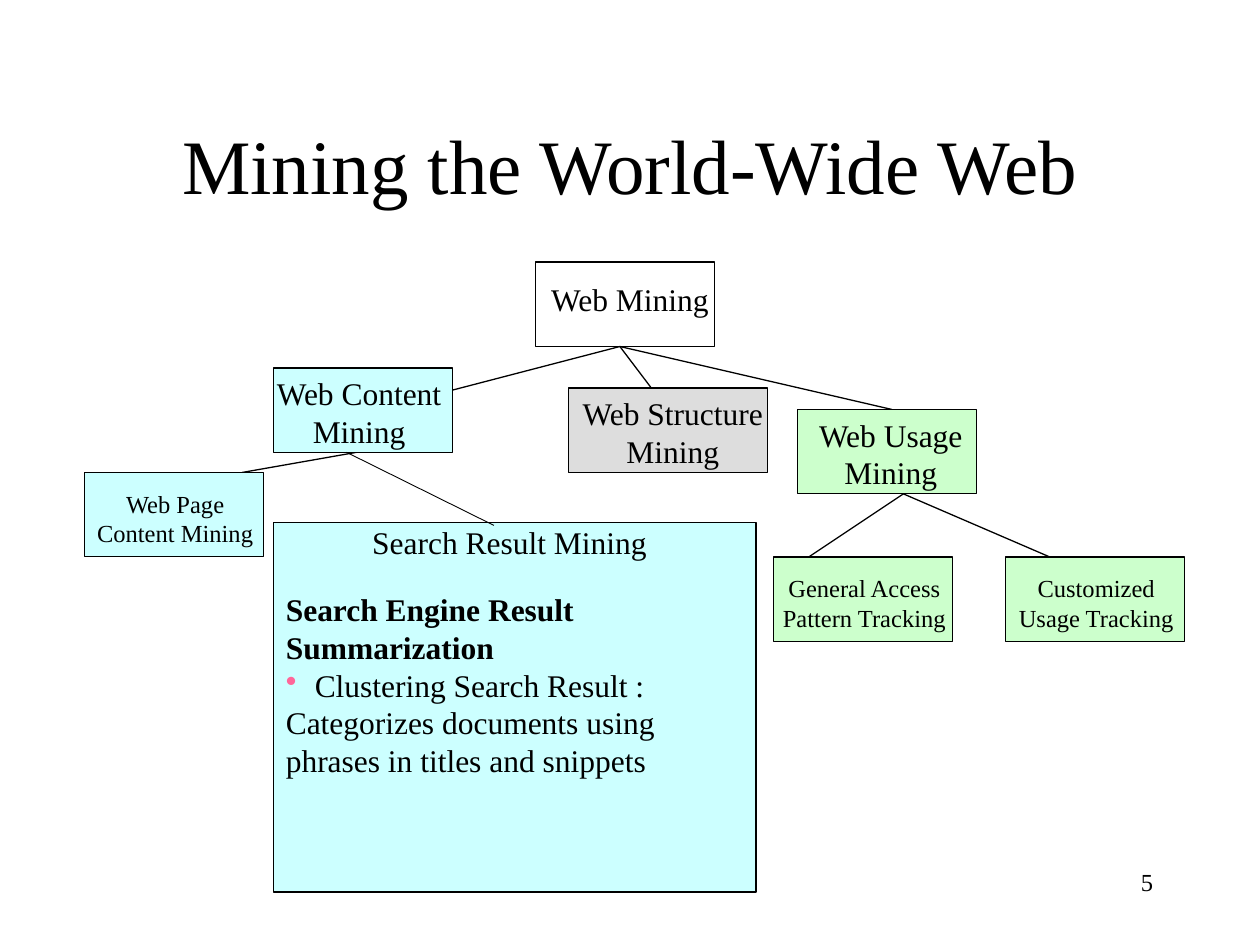
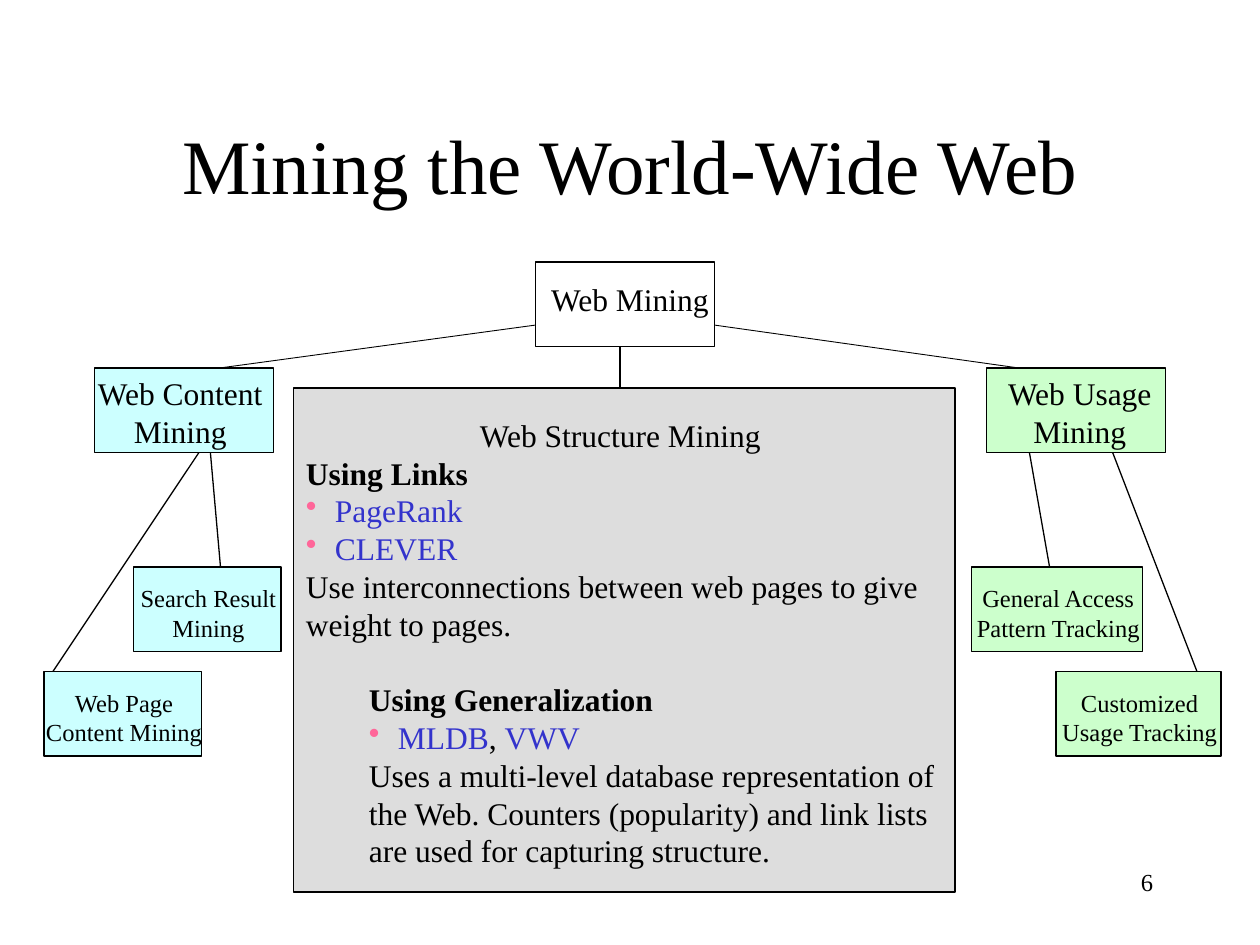
from dataclasses import dataclass

from lxml import etree
from pptx import Presentation
from pptx import util as u
from pptx.dml.color import RGBColor
from pptx.enum import shapes, text
from pptx.oxml import ns


@dataclass(frozen=True)
class Theme:
    font: str = "Times New Roman"
    ink: str = "000000"
    name: str = "3333CC"
    bullet: str = "FF6699"
    content: str = "CCFFFF"
    structure: str = "DDDDDD"
    usage: str = "CCFFCC"
    title: int = 44
    body: int = 18
    small: int = 14
    line: float = 0.75
    thin: float = 0.5


T = Theme()
NODE_W, NODE_H = 1.42, 0.67
ROOT = (4.25, 2.08, NODE_W, NODE_H)
TITLE_BOX = (0.75, 0.67, 8.5, 1.25)
NUMBER_BOX = (7.17, 6.83, 2.08, 0.5)
BULLET_INDENT = 0.23
ALIGN, ANCHOR = text.PP_ALIGN, text.MSO_ANCHOR


def set_all(obj, values):
    for key, value in values.items():
        setattr(obj, key, value)


def inches(values):
    return [u.Inches(v) for v in values]


def set_frame(tf, insets=(0.1, 0.05, 0.1, 0.05), wrap=True, anchor=ANCHOR.TOP):
    sides = ("margin_left", "margin_top", "margin_right", "margin_bottom")
    set_all(tf, dict(zip(sides, inches(insets)), word_wrap=wrap,
                     vertical_anchor=anchor))


def add_runs(p, runs, size, align):
    """Fill a paragraph with (text, bold, colour) runs."""
    p.alignment = align
    for words, bold, color in runs:
        r = p.add_run()
        r.text = words
        set_all(r.font, {"name": T.font, "size": u.Pt(size), "bold": bold})
        r.font.color.rgb = RGBColor.from_string(color)


def set_indent(p, left, bullet):
    pPr = p._p.get_or_add_pPr()
    hang = BULLET_INDENT if bullet else 0
    pPr.set("marL", str(u.Inches(left + hang)))
    pPr.set("indent", str(u.Inches(-hang)))
    if bullet:
        clr = etree.SubElement(pPr, ns.qn("a:buClr"))
        etree.SubElement(clr, ns.qn("a:srgbClr"), val=T.bullet)
        etree.SubElement(pPr, ns.qn("a:buChar"), char="•")


def add_text(s, box, words, size, align, anchor=ANCHOR.TOP):
    tf = s.shapes.add_textbox(*inches(box)).text_frame
    set_frame(tf, anchor=anchor)
    add_runs(tf.paragraphs[0], [(words, False, T.ink)], size, align)


def add_box(s, box, fill):
    sp = s.shapes.add_shape(shapes.MSO_SHAPE.RECTANGLE, *inches(box))
    sp.shadow.inherit = False
    if fill:
        sp.fill.solid()
        sp.fill.fore_color.rgb = RGBColor.from_string(fill)
    else:
        sp.fill.background()
    sp.line.color.rgb = RGBColor.from_string(T.ink)
    sp.line.width = u.Pt(T.line)
    return sp


def link(s, box, start, end, width=T.line):
    """Join two points given as offsets from the box's top left corner."""
    x, y = box[:2]
    ends = (x + start[0], y + start[1], x + end[0], y + end[1])
    cn = s.shapes.add_connector(shapes.MSO_CONNECTOR.STRAIGHT, *inches(ends))
    cn.line.color.rgb = RGBColor.from_string(T.ink)
    cn.line.width = u.Pt(width)
    etree.SubElement(cn._element.spPr, ns.qn("a:effectLst"))


def node(s, box, lines, fill, size=T.body, top=0.05, nudge=0.0):
    """Labelled box; nudge moves the label sideways from the centre."""
    tf = add_box(s, box, fill).text_frame
    set_frame(tf, (max(0, 2 * nudge), top, max(0, -2 * nudge), 0), wrap=False)
    for i, words in enumerate(lines):
        p = tf.add_paragraph() if i else tf.paragraphs[0]
        add_runs(p, [(words, False, T.ink)], size, ALIGN.CENTER)


def branch(s, box, lines, fill, nudge, leaves):
    """Parent node with leaves: label, offset, width, link ends along x."""
    x, y = box[:2]
    for label, (dx, dy), w, start, end in leaves:
        link(s, box, (start, NODE_H), (dx + end, dy))
        node(s, (x + dx, y + dy, w, NODE_H), label, fill, T.small, 0.13, 0.01)
    node(s, box, lines, fill, nudge=nudge)


def root(s, box, links):
    for start, end, width in links:
        link(s, box, start, end, width)
    node(s, box, ["Web Mining"], None, top=0.14, nudge=0.04)


def panel(s, box, fill, insets, paras):
    """Large box of text; each paragraph is (runs, format values)."""
    tf = add_box(s, box, fill).text_frame
    set_frame(tf, insets)
    for i, (runs, fmt) in enumerate(paras):
        p = tf.add_paragraph() if i else tf.paragraphs[0]
        set_indent(p, fmt.get("left", 0), fmt.get("bullet", False))
        p.space_before = u.Pt(fmt.get("before", 0))
        add_runs(p, runs, T.body, fmt.get("align", ALIGN.LEFT))


def plain(words, **fmt):
    return [(words, False, T.ink)], fmt


def heading(words, **fmt):
    return [(words, True, T.ink)], fmt


def named(*words, **fmt):
    """Bulleted method names, separated by commas."""
    runs = []
    for word in words:
        if runs:
            runs.append((", ", False, T.ink))
        runs.append((word, False, T.name))
    return runs, dict(fmt, bullet=True)


def new_slide(prs, number):
    s = prs.slides.add_slide(prs.slide_layouts[6])
    add_text(s, TITLE_BOX, "Mining the World-Wide Web", T.title, ALIGN.CENTER,
             ANCHOR.MIDDLE)
    add_text(s, NUMBER_BOX, str(number), T.small, ALIGN.RIGHT)
    return s


CONTENT = ["Web Content", "Mining"]
STRUCTURE = ["Web Structure", "Mining"]
USAGE = ["Web Usage", "Mining"]
PAGE = ["Web Page", "Content Mining"]
SEARCH = ["Search Result", "Mining"]
GENERAL = ["General Access", "Pattern Tracking"]
CUSTOM = ["Customized", "Usage Tracking"]
STEM = (0.67, NODE_H)


def search_result_slide(prs):
    s = new_slide(prs, 5)
    # Tree
    root(s, ROOT, [(STEM, end, T.line)
                   for end in ((-1.25, 1.17), (0.92, 1), (2.83, 1.17))])
    content = (2.17, 2.92, NODE_W, NODE_H)
    branch(s, content, CONTENT, T.content, -0.03,
           [(PAGE, (-1.5, 0.83), NODE_W, 0.66, 1.25)])
    node(s, (4.51, 3.08, 1.58, NODE_H), STRUCTURE, T.structure, nudge=0.04)
    branch(s, (6.33, 3.25, NODE_W, NODE_H), USAGE, T.usage, 0.03,
           [(GENERAL, (-0.19, 1.17), NODE_W, 0.84, 0.28),
            (CUSTOM, (1.65, 1.17), NODE_W, 0.84, 0.35)])
    # Search result details
    panel(s, (2.17, 4.15, 3.83, 2.93), T.content, (0.1, 0, 0.18, 0.05), [
        plain("Search Result Mining", align=ALIGN.CENTER),
        heading("Search Engine Result Summarization", before=16.8),
        plain("Clustering Search Result :", bullet=True),
        plain("Categorizes documents using phrases in titles and snippets"),
    ])
    link(s, content, (0.58, NODE_H), (1.75, 1.25), T.thin)


def structure_slide(prs):
    s = new_slide(prs, 6)
    # Tree
    root(s, ROOT, [(STEM, (0.67, 1), T.line),
                   ((NODE_W, 0.5), (3.83, 0.84), T.thin),
                   ((0, 0.5), (-2.5, 0.84), T.thin)])
    branch(s, (0.75, 2.92, NODE_W, NODE_H), CONTENT, T.content, -0.03,
           [(SEARCH, (0.31, 1.58), 1.17, 0.92, 0.69),
            (PAGE, (-0.4, 2.41), 1.25, 0.83, 0.07)])
    branch(s, (7.83, 2.92, NODE_W, NODE_H), USAGE, T.usage, 0.03,
           [(GENERAL, (-0.12, 1.58), 1.36, 0.34, 0.62),
            (CUSTOM, (0.55, 2.41), 1.31, 1, 1.12)])
    # Structure mining details
    panel(s, (2.33, 3.08, 5.25, 4), T.structure, (0.1, 0.22, 0.1, 0.05), [
        plain("Web Structure Mining ", align=ALIGN.CENTER),
        heading("Using Links"),
        named("PageRank"),
        named("CLEVER"),
        plain("Use interconnections between web pages to give weight to pages."),
        heading("Using Generalization", left=0.5, before=21.5),
        named("MLDB", "VWV", left=0.5),
        plain("Uses a multi-level database representation of the Web. Counters "
              "(popularity) and link lists are used for capturing structure.",
              left=0.5),
    ])


def main():
    prs = Presentation()
    set_all(prs, {"slide_width": u.Inches(10), "slide_height": u.Inches(7.5)})
    search_result_slide(prs)
    structure_slide(prs)
    prs.save("out.pptx")


if __name__ == "__main__":
    main()
